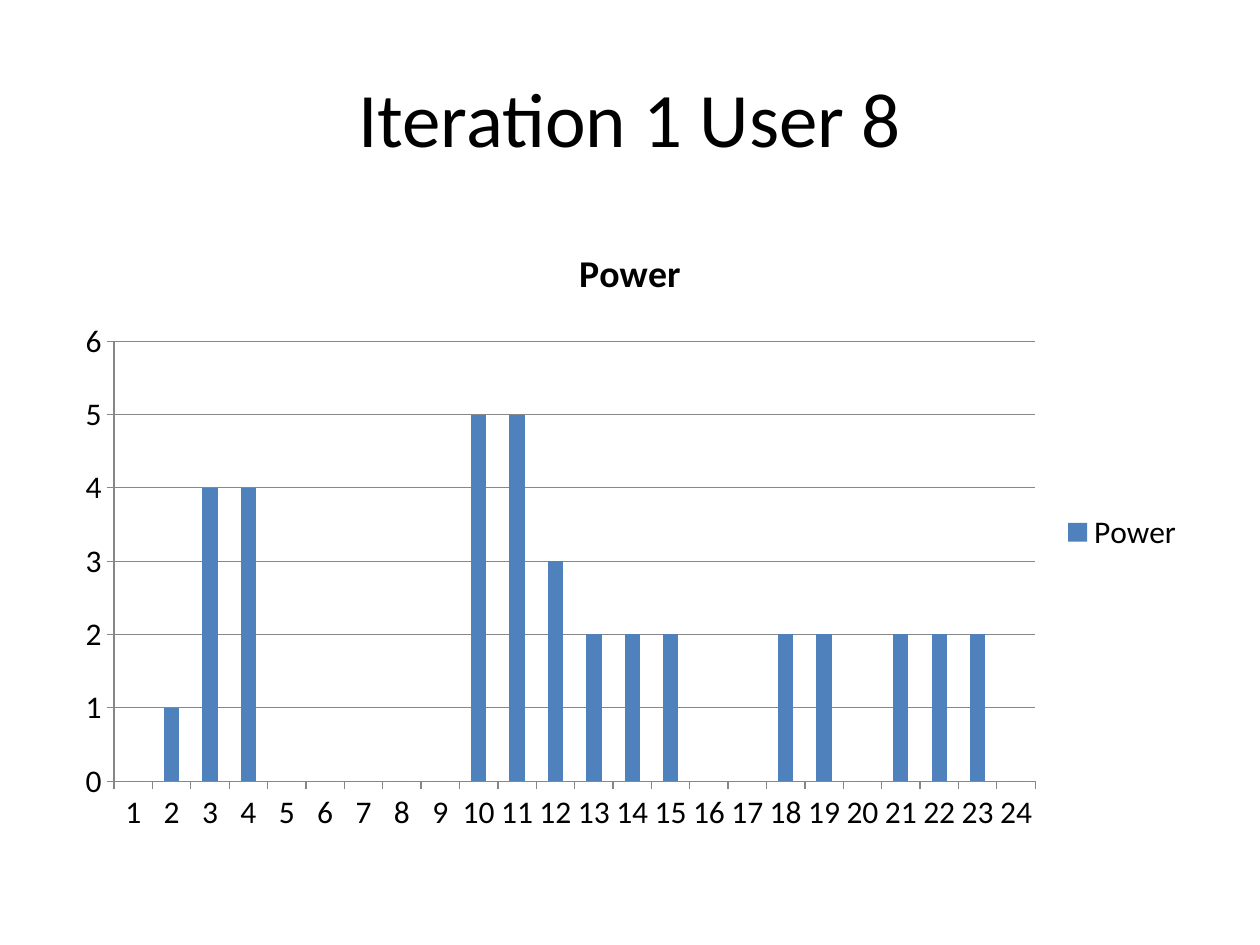
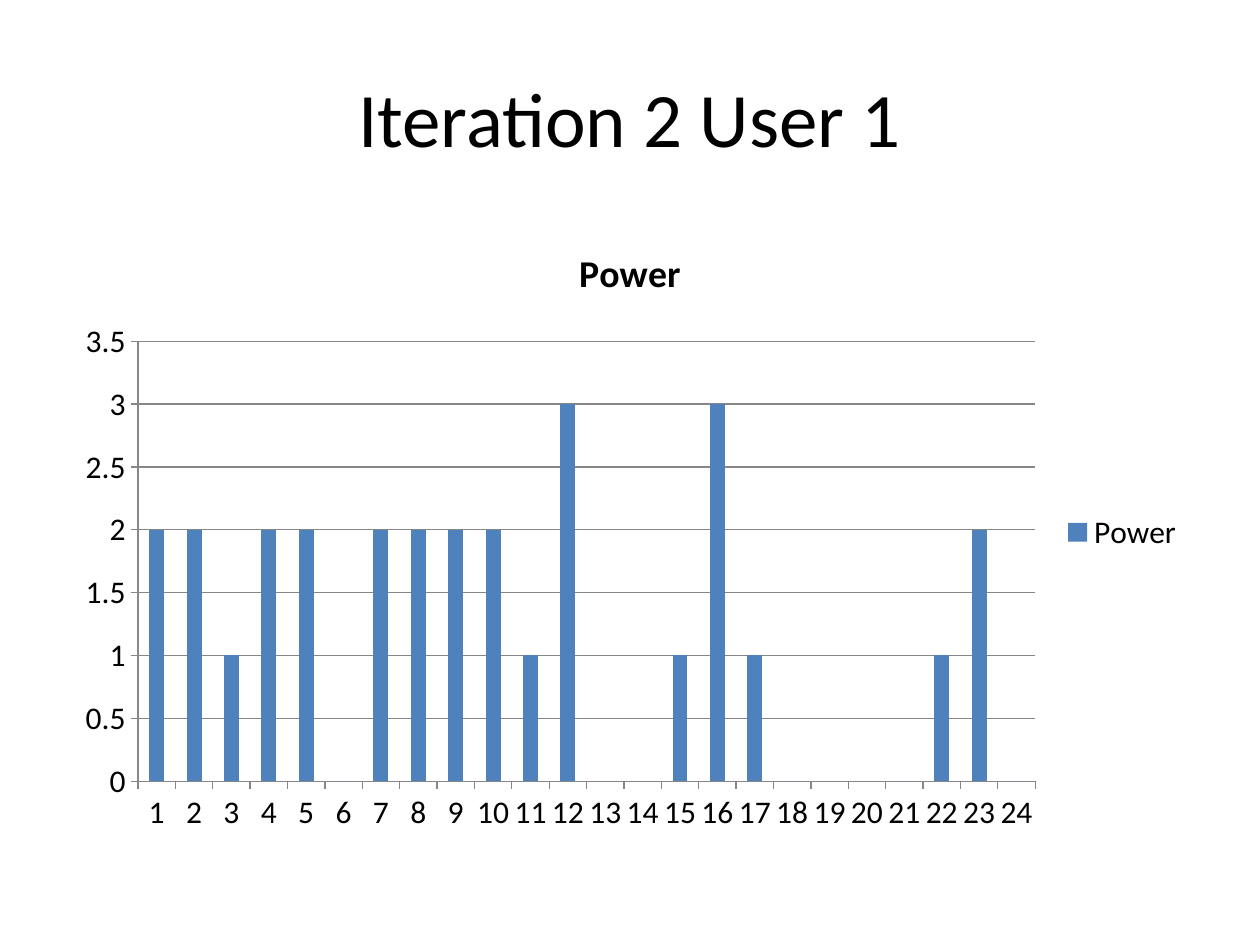
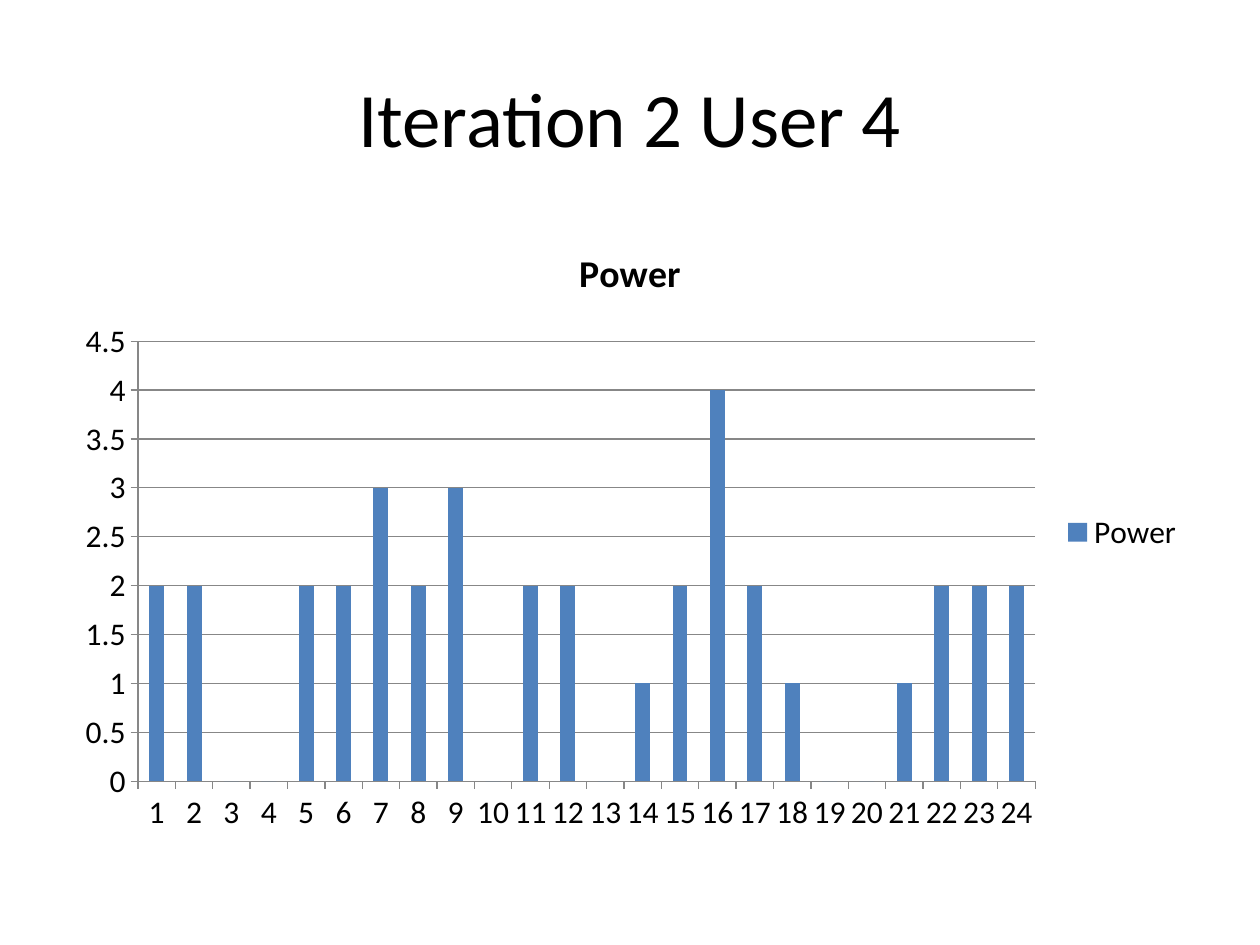
from pptx import Presentation
from pptx.chart.data import CategoryChartData
from pptx.dml.color import RGBColor
from pptx.enum import chart as ch, text
from pptx.util import Inches, Pt

BLACK = RGBColor(0x00, 0x00, 0x00)
BLUE = RGBColor(0x4F, 0x81, 0xBD)
GREY = RGBColor(0x87, 0x87, 0x87)
FONT = "Calibri"
TITLE_BOX = (Inches(0.5), Inches(0.3), Inches(9), Inches(1.25))
CHART_BOX = (Inches(0.5), Inches(1.75), Inches(9), Inches(4.95))
HOURS = [str(hour) for hour in range(1, 25)]
SERIES = "Power"
USERS = [
    ("Iteration 1 User 8",
     (0, 1, 4, 4, 0, 0, 0, 0, 0, 5, 5, 3, 2, 2, 2, 0, 0, 2, 2, 0, 2, 2, 2, 0)),
    ("Iteration 2 User 1",
     (2, 2, 1, 2, 2, 0, 2, 2, 2, 2, 1, 3, 0, 0, 1, 3, 1, 0, 0, 0, 0, 1, 2, 0)),
    ("Iteration 2 User 4",
     (2, 2, 0, 0, 2, 2, 3, 2, 3, 0, 2, 2, 0, 1, 2, 4, 2, 1, 0, 0, 1, 2, 2, 2)),
]


def set_font(font, size, bold=False):
    font.name = FONT
    font.size = Pt(size)
    font.bold = bold
    font.color.rgb = BLACK


def set_line(line):
    line.color.rgb = GREY
    line.width = Pt(0.75)


def add_title(slide, box, title):
    sp = slide.shapes.title
    sp.left, sp.top, sp.width, sp.height = box
    tf = sp.text_frame
    tf.text = title
    tf.vertical_anchor = text.MSO_ANCHOR.MIDDLE
    p = tf.paragraphs[0]
    p.alignment = text.PP_ALIGN.CENTER
    set_font(p.font, 44)


def add_power_chart(slide, box, values):
    data = CategoryChartData()
    data.categories = HOURS
    data.add_series(SERIES, values)
    chart = slide.shapes.add_chart(
        ch.XL_CHART_TYPE.COLUMN_CLUSTERED, *box, data).chart
    set_font(chart.font, 18)

    chart.has_title = True
    tf = chart.chart_title.text_frame
    tf.text = SERIES
    set_font(tf.paragraphs[0].font, 21.6, bold=True)

    chart.has_legend = True
    chart.legend.position = ch.XL_LEGEND_POSITION.RIGHT
    chart.legend.include_in_layout = False

    for axis in (chart.category_axis, chart.value_axis):
        axis.major_tick_mark = ch.XL_TICK_MARK.OUTSIDE
        set_line(axis.format.line)
    chart.value_axis.has_major_gridlines = True
    set_line(chart.value_axis.major_gridlines.format.line)

    plot = chart.plots[0]
    plot.gap_width = 150
    plot.vary_by_categories = False
    fill = plot.series[0].format.fill
    fill.solid()
    fill.fore_color.rgb = BLUE


def add_user_slide(prs, title, values):
    slide = prs.slides.add_slide(prs.slide_layouts.get_by_name("Title Only"))
    add_title(slide, TITLE_BOX, title)
    add_power_chart(slide, CHART_BOX, values)


def main():
    prs = Presentation()
    prs.slide_width, prs.slide_height = Inches(10), Inches(7.5)
    for title, values in USERS:
        add_user_slide(prs, title, values)
    prs.save("out.pptx")


if __name__ == "__main__":
    main()
